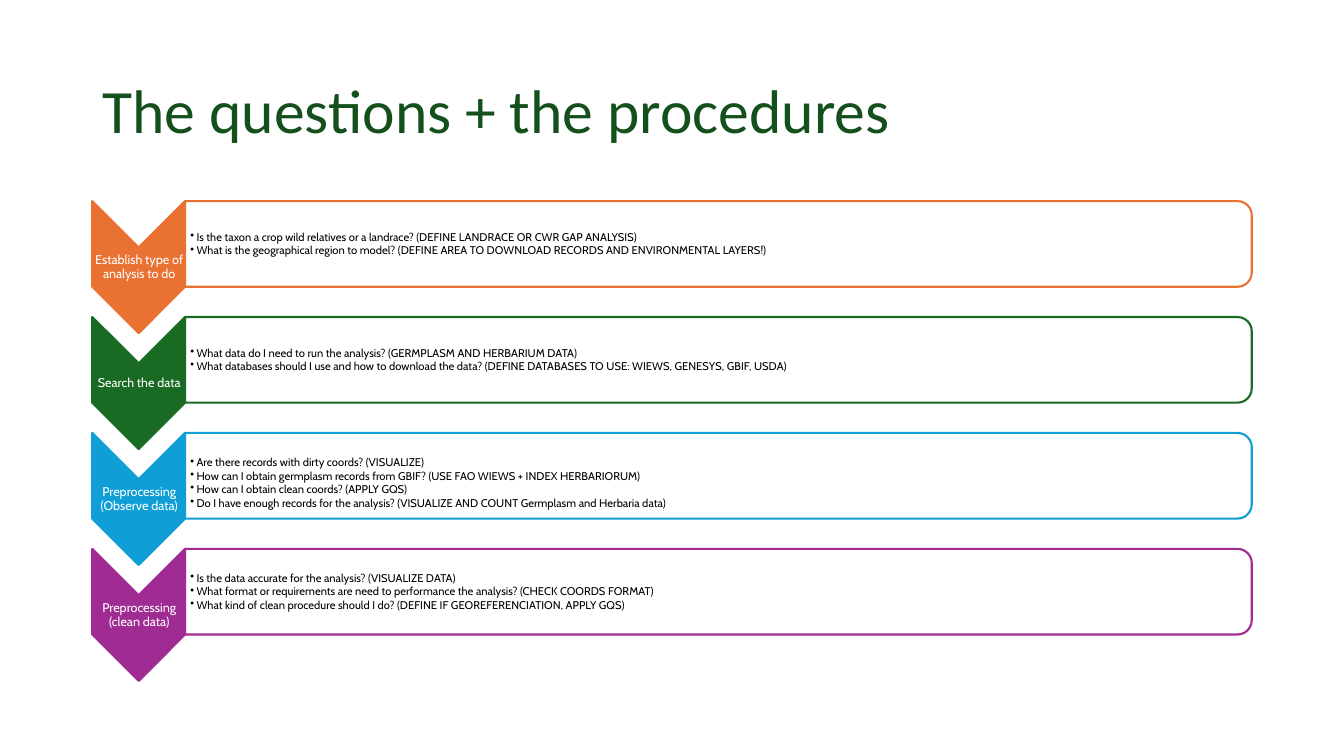
from dataclasses import dataclass

from lxml.etree import SubElement
from pptx import Presentation
from pptx.dml.color import RGBColor
from pptx.enum.shapes import MSO_SHAPE
from pptx.enum.text import MSO_ANCHOR, PP_ALIGN
from pptx.oxml.ns import qn
from pptx.shapes.autoshape import Shape
from pptx.slide import Slide
from pptx.util import Emu, Pt

PX = 9144
ROW_PITCH = 115

WHITE = RGBColor(0xFF, 0xFF, 0xFF)
BLACK = RGBColor(0x00, 0x00, 0x00)
TITLE_GREEN = RGBColor(0x13, 0x50, 0x1B)
ORANGE = RGBColor(0xE9, 0x71, 0x32)
GREEN = RGBColor(0x19, 0x6B, 0x24)
BLUE = RGBColor(0x0F, 0x9E, 0xD5)
PURPLE = RGBColor(0xA0, 0x2B, 0x93)


@dataclass(frozen=True)
class Step:
    label: str
    color: RGBColor
    questions: tuple[str, ...]
    top_inset: int = 1


STEPS = (
    Step("Establish type of analysis to do", ORANGE, (
        "Is the taxon a crop wild relatives or a landrace? (DEFINE LANDRACE OR CWR GAP ANALYSIS)",
        "What is the geographical region to model? "
        "(DEFINE AREA TO DOWNLOAD RECORDS AND ENVIRONMENTAL LAYERS!)",
    )),
    Step("Search the data", GREEN, (
        "What data do I need to run the analysis? (GERMPLASM AND HERBARIUM DATA)",
        "What databases should I use and how to download the data? "
        "(DEFINE DATABASES TO USE: WIEWS, GENESYS, GBIF, USDA)",
    )),
    Step("Preprocessing (Observe data)", BLUE, (
        "Are there records with dirty coords? (VISUALIZE)",
        "How can I obtain germplasm records from GBIF? (USE FAO WIEWS + INDEX HERBARIORUM)",
        "How can I obtain clean coords? (APPLY GQS)",
        "Do I have enough records for the analysis? "
        "(VISUALIZE AND COUNT Germplasm and Herbaria data)",
    ), top_inset=15),
    Step("Preprocessing (clean data)", PURPLE, (
        "Is the data accurate for the analysis? (VISUALIZE DATA)",
        "What format or requirements are need to performance the analysis? (CHECK COORDS FORMAT)",
        "What kind of clean procedure should I do? (DEFINE IF GEOREFERENCIATION, APPLY GQS)",
    )),
)


def px(n: int) -> Emu:
    return Emu(n * PX)


def add_turned(s: Slide, kind: MSO_SHAPE, x: int, y: int, w: int, h: int,
               fill: RGBColor, line: RGBColor) -> Shape:
    sp = s.shapes.add_shape(kind, px(x), px(y), px(w), px(h))
    sp.rotation = 90
    sp.shadow.inherit = False
    sp.fill.solid()
    sp.fill.fore_color.rgb = fill
    sp.line.color.rgb = line
    sp.line.width = Pt(1.5)
    return sp


def add_text(s: Slide, x: int, y: int, w: int, h: int, lines: tuple[str, ...],
             font: str, size: int, color: RGBColor,
             insets: tuple[int, int, int, int] = (1, 1, 1, 1),
             align: PP_ALIGN = PP_ALIGN.LEFT, bullets: bool = False) -> None:
    tf = s.shapes.add_textbox(px(x), px(y), px(w), px(h)).text_frame
    tf.word_wrap = True
    tf.vertical_anchor = MSO_ANCHOR.MIDDLE
    tf.margin_left, tf.margin_top, tf.margin_right, tf.margin_bottom = map(px, insets)
    tf.text = "\n".join(lines)
    for p in tf.paragraphs:
        p.alignment = align
        p.line_spacing = 0.9
        if bullets:
            p.space_after = Pt(1)
            pPr = p._p.get_or_add_pPr()
            pPr.set("marL", str(px(6)))
            pPr.set("indent", str(-px(6)))
            SubElement(pPr, qn("a:buChar"), char="•")
        for r in p.runs:
            r.font.name = font
            r.font.size = Pt(size)
            r.font.color.rgb = color


def add_step(s: Slide, step: Step, dy: int) -> None:
    add_turned(s, MSO_SHAPE.CHEVRON, 72, 219 + dy, 131, 92, step.color, step.color)
    add_text(s, 92, 246 + dy, 92, 39, (step.label,), "Cabin", 9, WHITE,
             align=PP_ALIGN.CENTER)
    bar = add_turned(s, MSO_SHAPE.ROUND_2_SAME_RECTANGLE, 670, dy - 287, 85, 1058,
                     WHITE, step.color)
    white = bar._element.spPr.find(qn("a:solidFill")).find(qn("a:srgbClr"))
    SubElement(white, qn("a:alpha"), val="90000")
    add_text(s, 183, 204 + dy, 1054, 77, step.questions, "Cabin", 8, BLACK,
             insets=(6, step.top_inset, 1, 1), bullets=True)


def main() -> None:
    prs = Presentation()
    prs.slide_width, prs.slide_height = px(1333), px(750)
    s = prs.slides.add_slide(prs.slide_layouts[6])
    add_text(s, 92, 40, 1150, 145, ("The questions + the procedures",),
             "Calibri", 44, TITLE_GREEN, insets=(10, 5, 10, 5))
    for i, step in enumerate(STEPS):
        add_step(s, step, i * ROW_PITCH)
    prs.save("out.pptx")


if __name__ == "__main__":
    main()
